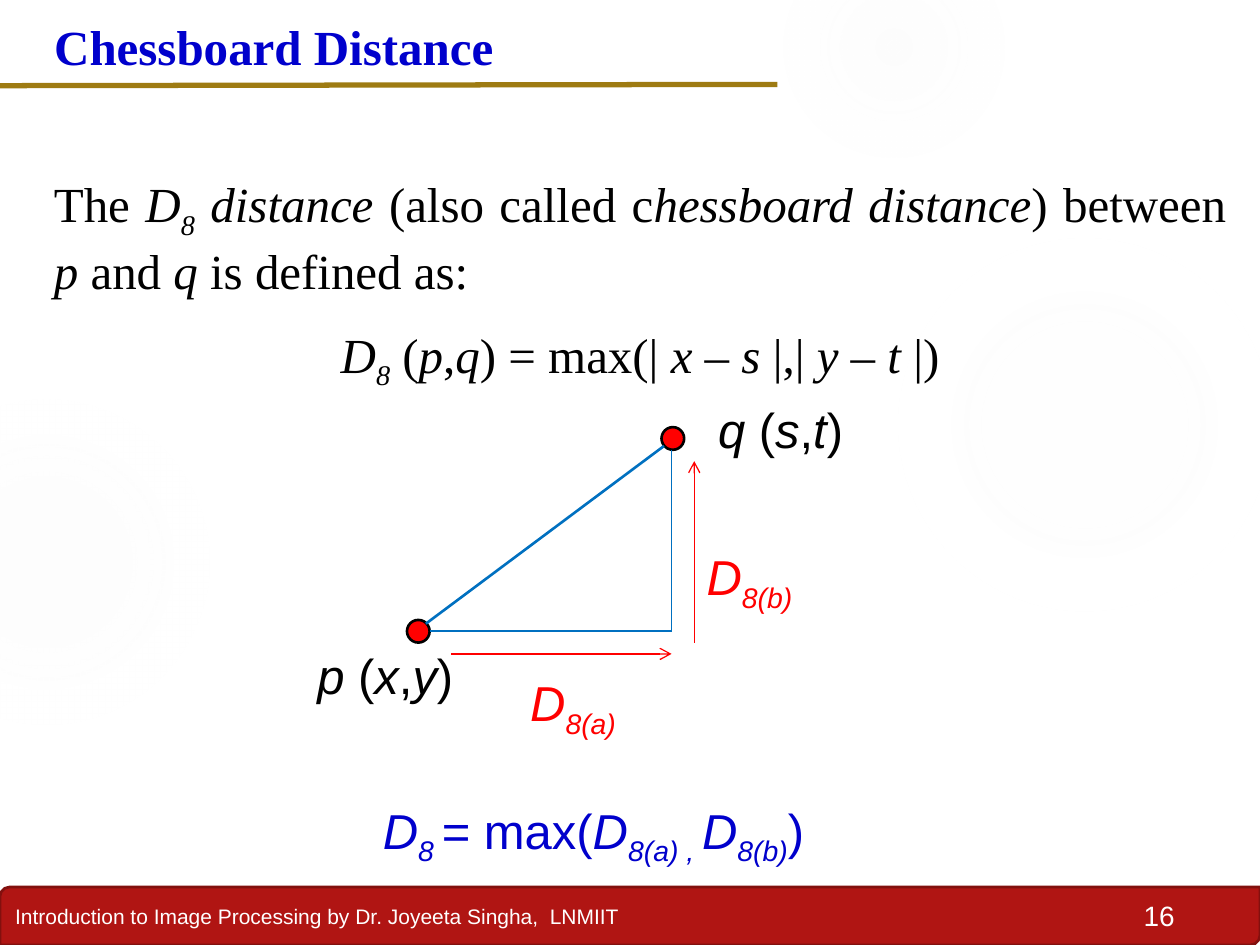
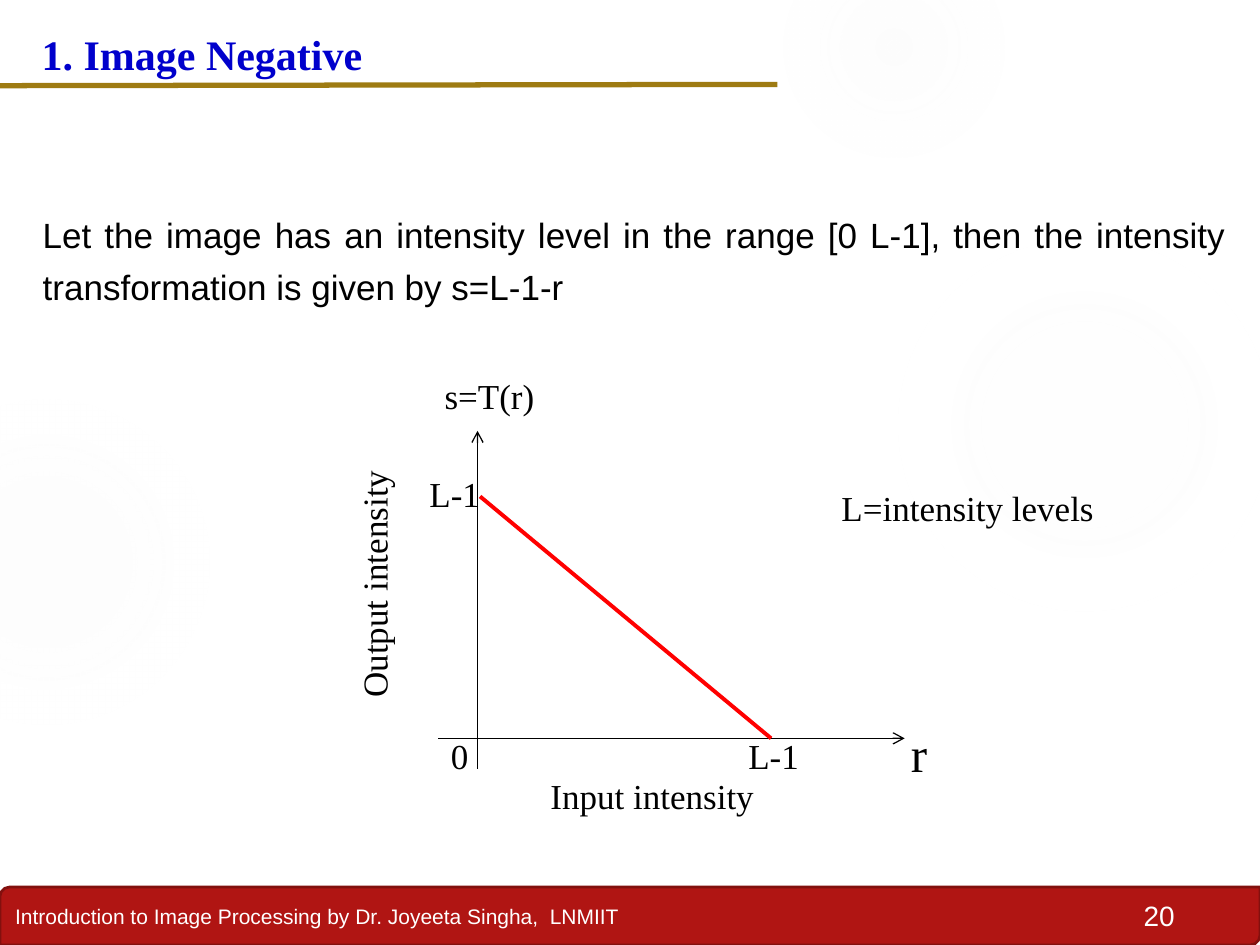
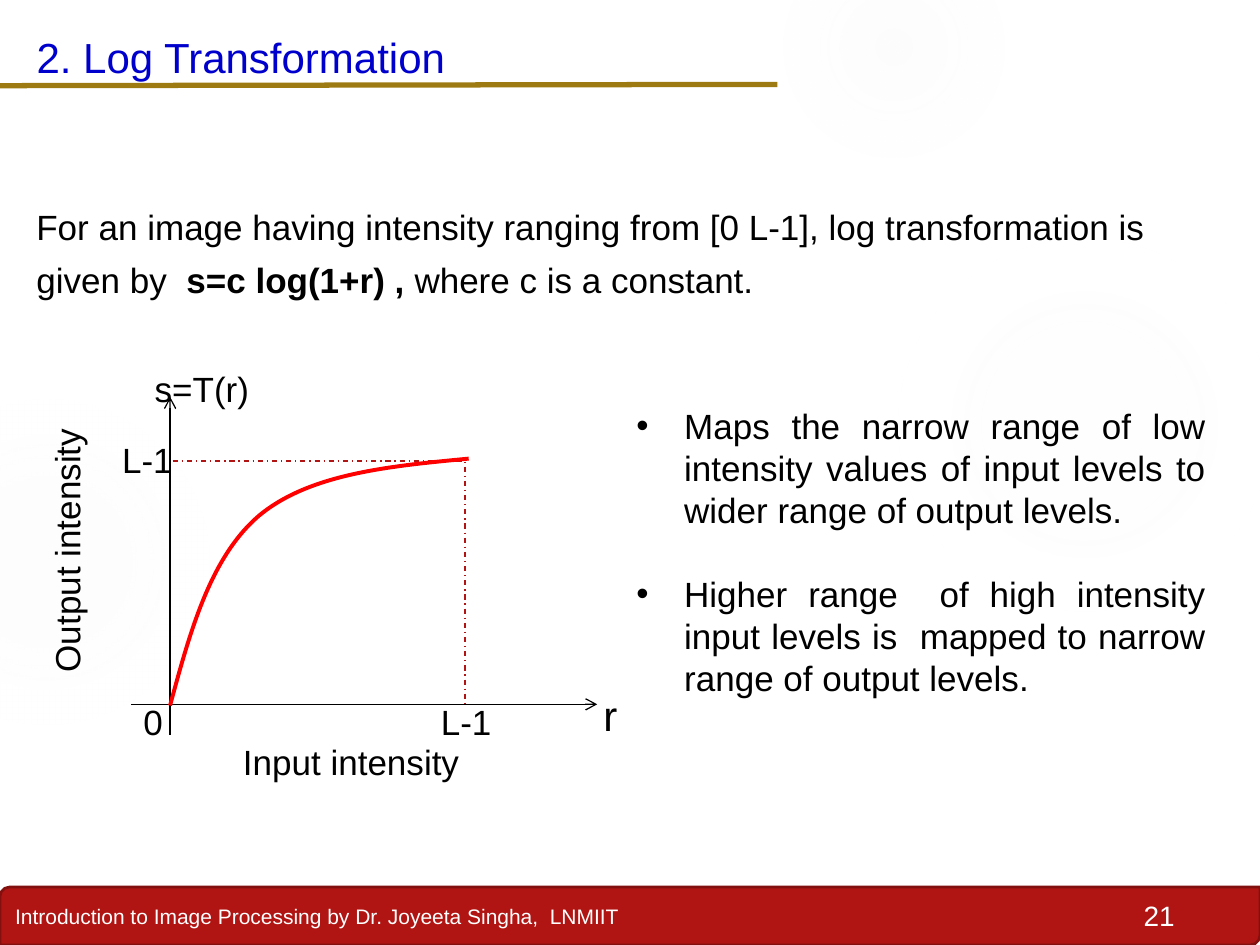
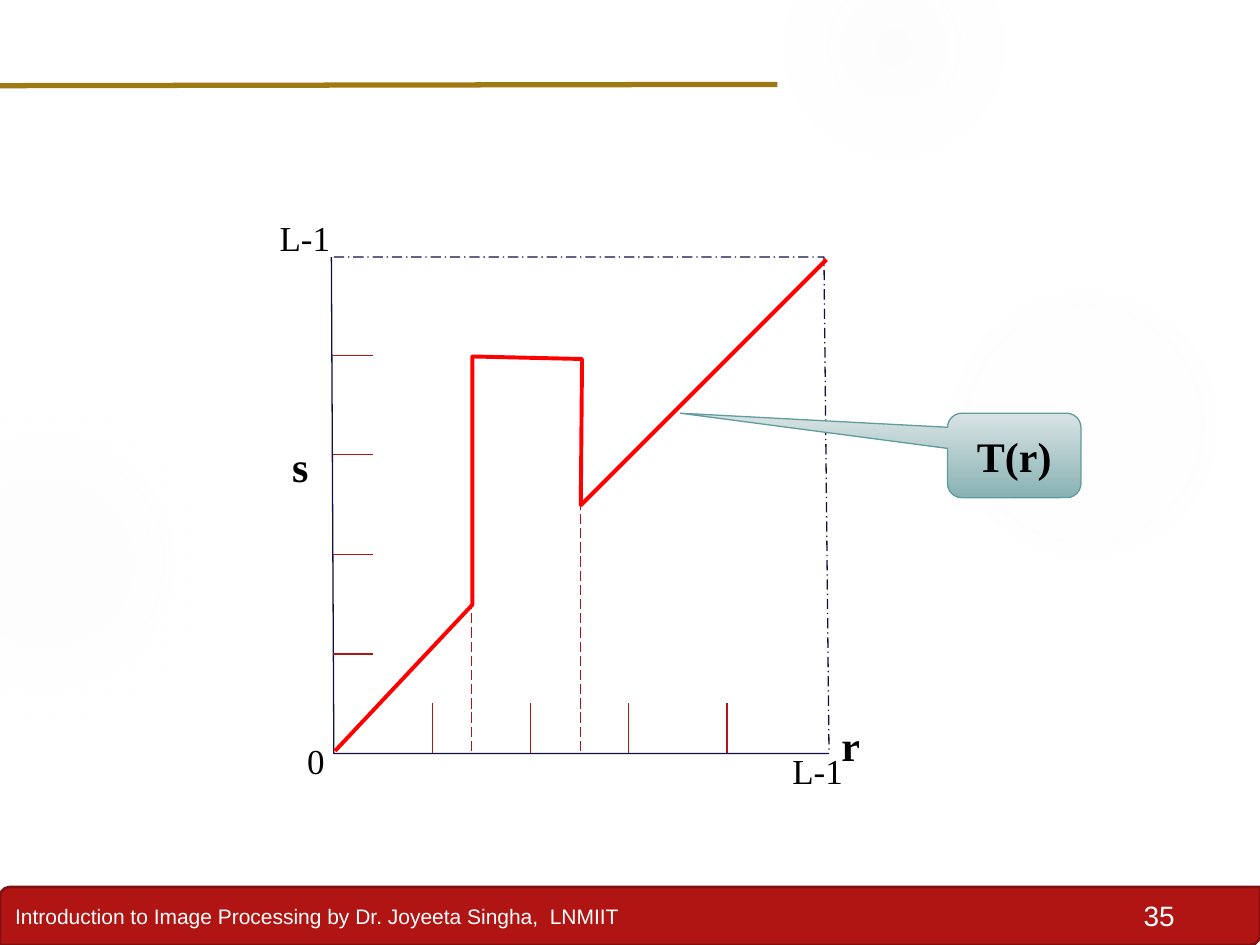
"""Builds four lecture slides on distances and intensity transformations."""
from lxml import etree
from pptx import Presentation
from pptx.dml.color import RGBColor
from pptx.enum import dml, shapes, text
from pptx.oxml import parse_xml
from pptx.oxml.ns import nsdecls, qn
from pptx.util import Inches, Pt

SANS, SERIF = "Arial", "Times New Roman"
BLACK, WHITE, RED, BLUE = "000000", "FFFFFF", "FF0000", "0000CC"
BRAND, BRAND_EDGE, GOLD, STEEL, NAVY = "B01513", "82100E", "9E7B12", "0070C0", "101141"
LEFT, CENTER, RIGHT, JUSTIFY = (text.PP_ALIGN.LEFT, text.PP_ALIGN.CENTER,
                                text.PP_ALIGN.RIGHT, text.PP_ALIGN.JUSTIFY)
DASH = dml.MSO_LINE
SHAPE = shapes.MSO_SHAPE

FOOTER = "Introduction to Image Processing by Dr. Joyeeta Singha,  LNMIIT"
GLOWS = [
    (7.07, 1.83, 3.08, [(0, 7), (36, 6), (69, 0)]),
    (6.22, -0.5, 1.75, [(0, 14), (36, 7), (73, 0)]),
    (-0.92, 3.17, 2.58, [(0, 8), (36, 8), (72, 0)]),
]

CHESS_TITLE = ("Chessboard Distance", (0.33, 0.08, 3.73, 0.57))
CHESS_TEXT = [
    ["The ", ("D", "i"), ("8", "is"), (" distance ", "i"), "(also called c",
     ("hessboard distance", "i"), ") between ", ("p", "i"), " and ", ("q", "i"),
     " is defined as:"],
    [("D", "i"), ("8", "is"), " (", ("p", "i"), ",", ("q", "i"), ") = max(| ", ("x", "i"),
     (" – ", "i"), ("s ", "i"), "|,| ", ("y", "i"), (" – ", "i"), ("t ", "i"), "|)"],
]
CHESS_POINTS = [(3.23, 4.92), (5.25, 3.39)]
CHESS_LINES = [
    ((3.38, 4.95), (5.27, 3.54), STEEL, 1.5, False),
    ((5.33, 3.57), (5.33, 5.01), STEEL, 1, False),
    ((5.33, 5.01), (3.41, 5.01), STEEL, 1, False),
    ((5.51, 5.1), (5.51, 3.66), RED, 0.75, True),
    ((3.58, 5.19), (5.33, 5.19), RED, 0.75, True),
]
CHESS_LABELS = [
    ((2.42, 5.07, 1.51, 0.62), BLACK, [("p", "i"), " (", ("x", "i"), ",", ("y", "i"), ")"]),
    ((5.6, 3.12, 1.69, 0.62), BLACK, [("q", "i"), " (", ("s", "i"), ",", ("t", "i"), ")"]),
    ((5.51, 4.29, 1.34, 0.62), RED, [("D", "i"), ("8(b)", "is")]),
    ((4.11, 5.29, 2.37, 0.62), RED, [("D", "i"), ("8(a)", "is")]),
    ((2.94, 6.3, 4.62, 0.62), BLUE,
     [("D", "i"), ("8 ", "is"), "= max(", ("D", "i"), ("8(a) , ", "is"), ("D", "i"),
      ("8(b)", "is"), ")"]),
]

NEGATIVE_TITLE = ("1. Image Negative", (0.23, 0.18, 2.86, 0.5))
NEGATIVE_TEXT = ["Let the image has an intensity level in the range [0 L-1], then the "
                 "intensity transformation is given by s=L-1-r "]
LOG_TITLE = ("2. Log Transformation", (0.19, 0.2, 3.57, 0.5))
LOG_TEXT = ["For an image having intensity ranging from [0 L-1], log transformation is "
            "given by  ", ("s=c log(1+r) , ", "b"), "where c is a constant."]
LOG_BULLETS = [
    ["Maps the narrow range of low intensity values of input levels to wider range of "
     "output levels."],
    ["Higher range  of high intensity input levels is  mapped to narrow range of output "
     "levels. "],
]
LOG_GUIDE = [(1.37, 3.66), (3.69, 3.66), (3.69, 5.61)]
LOG_CURVE = [(1.35, 5.6), (1.51, 5.01), (1.67, 4.42), (2.06, 4.09),
             (2.46, 3.76), (3.09, 3.7), (3.72, 3.64)]

AXIS_LABELS = [
    ("0", -0.31, -0.08, 0.36),
    ("L-1", 2.05, -0.08, 0.61),
    ("L-1", -0.48, -2.16, 0.61),
    ("Input intensity", 0.48, 0.24, 2.01),
]

SLICE_FRAME = [
    ([(2.63, 2.04), (2.65, 5.98), (6.58, 5.98)], None),
    ([(2.65, 2.04), (6.54, 2.04), (6.58, 5.98)], DASH.LONG_DASH_DOT),
]
SLICE_CURVE = [(2.66, 5.96), (3.75, 4.8), (3.75, 2.83), (4.62, 2.85), (4.61, 4.01),
               (6.56, 2.06)]
SLICE_LABELS = [
    ("0", (2.34, 5.82, 0.36, 0.44), 20, False),
    ("L-1", (6.19, 5.9, 0.61, 0.44), 20, False),
    ("L-1", (2.12, 1.67, 0.61, 0.44), 20, False),
    ("r", (6.58, 5.66, 0.33, 0.5), 24, True),
    ("s", (2.22, 3.45, 0.39, 0.5), 24, True),
]


def rgb(value):
    return RGBColor.from_string(value)


def box(at):
    return [Inches(v) for v in at]


def write(tf, paras, size=20, font=SANS, color=BLACK, bold=False, aligns=(LEFT,),
          leading=None, gap=0, wrap=True, grow=True, anchor=text.MSO_ANCHOR.TOP):
    tf.word_wrap = wrap
    tf.auto_size = text.MSO_AUTO_SIZE.SHAPE_TO_FIT_TEXT if grow else text.MSO_AUTO_SIZE.NONE
    tf.vertical_anchor = anchor
    for n, runs in enumerate(paras):
        p = tf.add_paragraph() if n else tf.paragraphs[0]
        p.alignment = aligns[min(n, len(aligns) - 1)]
        p.space_before = Pt(gap if n else 0)
        if leading:
            p.line_spacing = Pt(leading)
        for run in runs:
            words, flags = (run, "") if isinstance(run, str) else run
            r = p.add_run()
            r.text = words
            r.font.size, r.font.name = Pt(size), font
            r.font.color.rgb = rgb(color)
            r.font.bold = bold or "b" in flags
            r.font.italic = "i" in flags
            if "s" in flags:
                r._r.get_or_add_rPr().set("baseline", "-25000")


def add_text(s, at, paras, **fmt):
    sp = s.shapes.add_textbox(*box(at))
    write(sp.text_frame, paras, **fmt)
    return sp


def set_title(s, title, **fmt):
    words, at = title
    sp = s.shapes.title
    sp.left, sp.top, sp.width, sp.height = box(at)
    write(sp.text_frame, [[words]], color=BLUE, wrap=False, **fmt)


def stroke(line, color, width, dash=None):
    line.color.rgb = rgb(color)
    line.width = Pt(width)
    if dash:
        line.dash_style = dash


def add_line(s, start, end, color, width=0.75, dash=None, arrow=False):
    sp = s.shapes.add_connector(shapes.MSO_CONNECTOR.STRAIGHT, *box(start + end))
    stroke(sp.line, color, width, dash)
    props = sp.element.spPr
    if arrow:
        etree.SubElement(props.find(qn("a:ln")), qn("a:tailEnd")).set("type", "arrow")
    etree.SubElement(props, qn("a:effectLst"))
    return sp


def add_shape(s, kind, at, fill=None, line=None, width=0.75):
    sp = s.shapes.add_shape(kind, *box(at))
    sp.shadow.inherit = False
    if fill:
        sp.fill.solid()
        sp.fill.fore_color.rgb = rgb(fill)
    if line:
        stroke(sp.line, line, width)
    else:
        sp.line.fill.background()
    return sp


def add_outline(s, points, color, width, dash=None, curved=False):
    start, *rest = [box(pt) for pt in points]
    builder = s.shapes.build_freeform(*start)
    builder.add_line_segments(rest, close=False)
    sp = builder.convert_to_shape()
    sp.shadow.inherit = False
    sp.fill.background()
    stroke(sp.line, color, width, dash)
    if curved:
        outline = next(sp.element.iter(qn("a:path")))
        steps = outline.findall(qn("a:lnTo"))
        for n in range(0, len(steps), 3):
            curve = etree.SubElement(outline, qn("a:cubicBezTo"))
            for step in steps[n:n + 3]:
                curve.append(step[0])
                outline.remove(step)


def add_glow(s, left, top, size, stops):
    sp = add_shape(s, SHAPE.OVAL, (left, top, size, size))
    sp.fill.background()
    marks = "".join(
        f'<a:gs pos="{pos * 1000}"><a:srgbClr val="F3F3F3"><a:alpha val="{alpha * 1000}"/>'
        f'</a:srgbClr></a:gs>' for pos, alpha in stops)
    props = sp.element.spPr
    props.replace(props.find(qn("a:noFill")), parse_xml(
        f'<a:gradFill {nsdecls("a")}><a:gsLst>{marks}</a:gsLst><a:path path="circle">'
        '<a:fillToRect l="50000" t="50000" r="50000" b="50000"/></a:path></a:gradFill>'))
    return sp


def dress_master(prs, s):
    band = add_shape(s, SHAPE.ROUND_2_DIAG_RECTANGLE, (0, 7.04, 10, 0.46),
                     BRAND, BRAND_EDGE, 1.5)
    write(band.text_frame, [[FOOTER]], size=12, color=WHITE, grow=False,
          anchor=text.MSO_ANCHOR.MIDDLE)
    parts = [band] + [add_glow(s, *glow) for glow in GLOWS]
    parts.append(add_line(s, (-0.02, 0.68), (6.17, 0.67), GOLD, 3))
    for sp in parts:
        prs.slide_master.shapes.element.append(sp.element)


def new_slide(prs, layout, number):
    s = prs.slides.add_slide(prs.slide_layouts.get_by_name(layout))
    add_text(s, (8.67, 7.08, 0.75, 0.37), [[str(number)]], size=16, color=WHITE,
             aligns=(RIGHT,))
    return s


def draw_axes(s, x, y, font, formula, side_width, r_size):
    add_line(s, (x, y + 0.24), (x, y - 2.44), BLACK, arrow=True)
    add_line(s, (x - 0.31, y), (x + 3.39, y), BLACK, arrow=True)
    for words, dx, dy, width in AXIS_LABELS + [("s=T(r)", *formula)]:
        add_text(s, (x + dx, y + dy, width, 0.44), [[words]], font=font, wrap=False)
    add_text(s, (x + 3.34, y - 0.17, 0.31, 0.45), [["r"]], size=r_size, font=font, wrap=False)
    side = add_text(s, (x - 0.82 - side_width / 2, y - 1.45, side_width, 0.44),
                    [["Output intensity"]], font=font, wrap=False)
    side.rotation = 270


def chessboard_slide(s):
    set_title(s, CHESS_TITLE, size=28, font=SERIF, bold=True)
    add_text(s, (0.33, 1.33, 9.5, 1.75), CHESS_TEXT, size=28, font=SERIF,
             aligns=(JUSTIFY, CENTER), gap=14)
    for x, y in CHESS_POINTS:
        add_shape(s, SHAPE.OVAL, (x, y, 0.18, 0.18), RED, BLACK, 1.5)
    for start, end, color, width, arrow in CHESS_LINES:
        add_line(s, start, end, color, width, arrow=arrow)
    for at, color, runs in CHESS_LABELS:
        add_text(s, at, [runs], size=28, color=color)


def negative_slide(s):
    set_title(s, NEGATIVE_TITLE, size=24, font=SERIF, bold=True)
    add_text(s, (0.24, 1.56, 9.59, 0.94), [NEGATIVE_TEXT], aligns=(JUSTIFY,), leading=30)
    draw_axes(s, 3.79, 5.86, SERIF, (-0.36, -2.94, 0.92), 2.01, 28)
    add_line(s, (3.81, 3.94), (6.12, 5.86), RED, 2.25)
    add_text(s, (6.58, 3.81, 2.96, 0.44), [["L=intensity levels"]], font=SERIF)


def log_slide(s):
    set_title(s, LOG_TITLE, size=24)
    add_text(s, (0.19, 1.5, 9.72, 0.94), [LOG_TEXT], leading=30)
    draw_axes(s, 1.35, 5.59, SANS, (-0.22, -2.72, 1.1), 2.15, 24)
    add_outline(s, LOG_GUIDE, BRAND, 0.75, DASH.DASH_DOT)
    add_outline(s, LOG_CURVE, RED, 2.25, curved=True)
    body = s.placeholders[1]
    body.left, body.top, body.width, body.height = box((4.95, 3.16, 4.72, 2.46))
    write(body.text_frame, LOG_BULLETS, aligns=(JUSTIFY,), leading=24, gap=24)
    for p in body.text_frame.paragraphs:
        props = p._p.get_or_add_pPr()
        props.set("marL", str(Inches(0.38)))
        props.set("indent", str(Inches(-0.38)))
        etree.SubElement(props, qn("a:buChar")).set("char", "•")


def slicing_slide(s):
    for points, dash in SLICE_FRAME:
        add_outline(s, points, NAVY, 0.75, dash)
    for n in range(4):
        y, x = 2.82 + 0.79 * n, 3.43 + 0.78 * n
        add_line(s, (2.64, y), (2.96, y), BRAND)
        add_line(s, (x, 5.58), (x, 5.98), BRAND)
    for words, at, size, bold in SLICE_LABELS:
        add_text(s, at, [[words]], size=size, font=SERIF, bold=bold, aligns=(JUSTIFY,),
                 wrap=False)
    callout = add_shape(s, SHAPE.ROUNDED_RECTANGULAR_CALLOUT, (7.52, 3.28, 1.06, 0.67),
                        line="5F9C9D")
    for n, value in enumerate((-2.5, -0.5, 0.17)):
        callout.adjustments[n] = value
    callout.fill.gradient()
    callout.fill.gradient_angle = 270
    for stop, color, pos in zip(callout.fill.gradient_stops, ("D8E3E4", "89B2B3"), (0, 1)):
        stop.color.rgb = rgb(color)
        stop.position = pos
    write(callout.text_frame, [["T(r)"]], size=24, font=SERIF, bold=True, aligns=(CENTER,),
          grow=False, anchor=text.MSO_ANCHOR.MIDDLE)
    for x in (3.74, 4.61):
        add_line(s, (x, 2.84), (x, 5.99), BRAND, dash=DASH.LONG_DASH)
    add_outline(s, SLICE_CURVE, RED, 2.25)


SLIDES = [
    ("Title Only", 16, chessboard_slide),
    ("Title Only", 20, negative_slide),
    ("Title and Content", 21, log_slide),
    ("Blank", 35, slicing_slide),
]


def main():
    prs = Presentation()
    prs.slide_width, prs.slide_height = Inches(10), Inches(7.5)
    for n, (layout, number, draw) in enumerate(SLIDES):
        s = new_slide(prs, layout, number)
        if n == 0:
            dress_master(prs, s)
        draw(s)
    prs.save("out.pptx")


if __name__ == "__main__":
    main()
